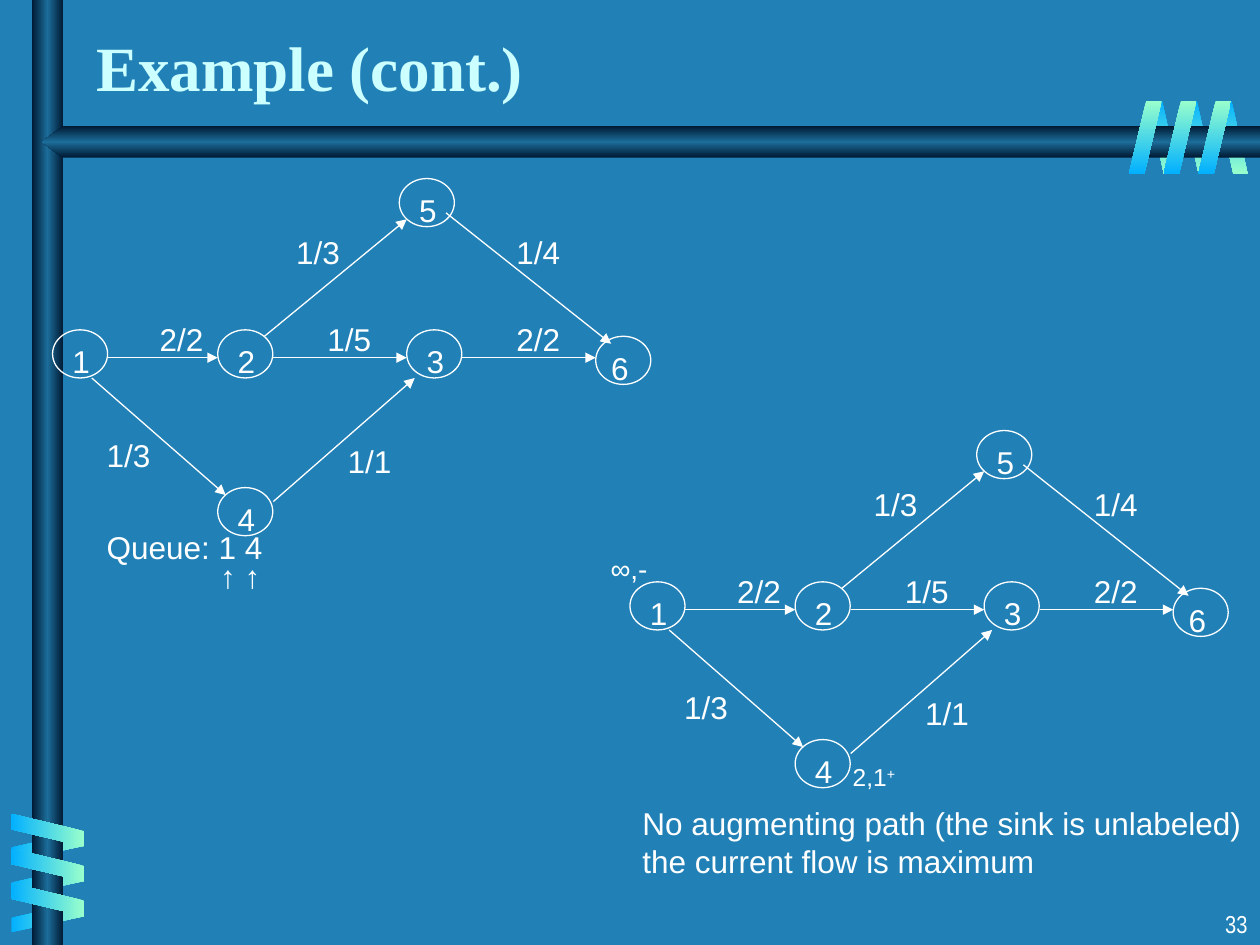
from dataclasses import dataclass

from lxml import etree
from pptx import Presentation
from pptx.dml.color import RGBColor
from pptx.enum.shapes import MSO_CONNECTOR, MSO_SHAPE
from pptx.enum.text import MSO_AUTO_SIZE, PP_ALIGN
from pptx.oxml import parse_xml
from pptx.oxml.ns import nsdecls, qn
from pptx.util import Cm, Pt

OVAL, RECT, SLANT = MSO_SHAPE.OVAL, MSO_SHAPE.RECTANGLE, MSO_SHAPE.PARALLELOGRAM
STRAIGHT = MSO_CONNECTOR.STRAIGHT
GROW, FIXED = MSO_AUTO_SIZE.SHAPE_TO_FIT_TEXT, MSO_AUTO_SIZE.NONE
LEFT, RIGHT = PP_ALIGN.LEFT, PP_ALIGN.RIGHT


@dataclass(frozen=True)
class Theme:
    back: str = "2181B7"
    ink: str = "FFFFFF"
    title: str = "CCFFFF"
    ribbon: tuple = ("99FFCC", "01B0FF")
    rail: tuple = ("001932", "1C6D9A", "001932")
    body_font: str = "Arial"
    title_font: str = "Times New Roman"
    number_font: str = "Arial Narrow"
    title_size: int = 36
    body_size: int = 18
    mark_size: int = 16
    small_size: int = 14
    line: float = 0.75


THEME = Theme()


@dataclass(frozen=True)
class Ribbons:
    """Three slanted bands, evenly stepped; lengths in cm."""
    x: float
    y: float
    dx: float
    dy: float
    w: float
    rotation: int
    angle: int
    colors: tuple
    flip: bool


@dataclass(frozen=True)
class Node:
    name: str
    x: float
    y: float
    text_dx: float = 0.15


@dataclass(frozen=True)
class Edge:
    x1: float
    y1: float
    x2: float
    y2: float
    flow: str
    flow_x: float
    flow_y: float


BACK = THEME.ribbon[::-1]
BACK_RIBBONS = [
    Ribbons(24.54, 2.03, -0.7, 0, 0.61, 180, 90, BACK, True),
    Ribbons(0.66, 16.33, 0, 0.71, 0.61, 90, 180, BACK, True),
]
FRONT_RIBBONS = [
    Ribbons(0.63, 16, 0, 0.7, 0.66, 270, 180, THEME.ribbon, False),
    Ribbons(24.16, 2.03, -0.7, 0, 0.66, 0, 90, THEME.ribbon, False),
]
NODES = [
    Node("1", 1.06, 6.65), Node("2", 4.39, 6.65), Node("3", 8.2, 6.65),
    Node("4", 4.39, 9.83), Node("5", 8.05, 3.6), Node("6", 12.01, 6.78, 0.06),
]
EDGES = [
    Edge(1.85, 7.62, 4.55, 9.98, "1/3", 1.9, 8.66),
    Edge(2.16, 7.21, 4.39, 7.21, "2/2", 2.97, 6.32),
    Edge(5.33, 6.78, 8.2, 4.42, "1/3", 5.72, 4.57),
    Edge(5.51, 7.21, 8.2, 7.21, "1/5", 6.35, 6.32),
    Edge(5.51, 10.11, 8.36, 7.62, "1/1", 6.76, 8.79),
    Edge(9.32, 7.21, 12.01, 7.21, "2/2", 10.16, 6.32),
    Edge(8.99, 4.29, 12.32, 6.93, "1/4", 10.16, 4.57),
]
GRAPH_ORIGINS = [(0, 0), (11.64, 5.08)]


def cms(*values: float) -> list:
    return [Cm(v) for v in values]


def fill_gradient(sp, colors: tuple, angle: int) -> None:
    """Linear gradient that stays fixed when the shape turns."""
    stops = "".join(
        f'<a:gs pos="{i * 100000 // (len(colors) - 1)}"><a:srgbClr val="{c}"/></a:gs>'
        for i, c in enumerate(colors))
    sp.fill.background()
    spPr = sp._element.spPr
    spPr.replace(spPr.find(qn("a:noFill")), parse_xml(
        f'<a:gradFill {nsdecls("a")} rotWithShape="0"><a:gsLst>{stops}</a:gsLst>'
        f'<a:lin ang="{angle * 60000}" scaled="0"/></a:gradFill>'))
    sp.line.fill.background()
    sp.shadow.inherit = False


def draw_ribbons(s, row: Ribbons) -> None:
    for i in range(3):
        sp = s.shapes.add_shape(
            SLANT, *cms(row.x + i * row.dx, row.y + i * row.dy, row.w, 1.47))
        sp.adjustments[0] = 0.53
        sp.rotation = row.rotation
        if row.flip:
            sp._element.spPr.find(qn("a:xfrm")).set("flipH", "1")
        fill_gradient(sp, row.colors, row.angle)


def draw_rails(s) -> None:
    fill_gradient(s.shapes.add_shape(RECT, *cms(0.64, 0, 0.64, 19.05)), THEME.rail, 180)
    fb = s.shapes.build_freeform(*cms(25.4, 2.54))
    fb.add_line_segments([cms(*pt) for pt in
                          [(1.27, 2.54), (0.84, 2.86), (1.27, 3.18), (25.4, 3.18)]])
    fill_gradient(fb.convert_to_shape(), THEME.rail, 90)


def add_run(p, text: str, size: int, font: str = THEME.body_font,
            color: str = THEME.ink, bold: bool = False):
    r = p.add_run()
    r.text = text
    r.font.size, r.font.name, r.font.bold = Pt(size), font, bold
    r.font.color.rgb = RGBColor.from_string(color)
    return r


def add_box(s, x: float, y: float, w: float, h: float, wrap: bool = True,
            auto_size=GROW, align=LEFT):
    tf = s.shapes.add_textbox(*cms(x, y, w, h)).text_frame
    tf.word_wrap, tf.auto_size = wrap, auto_size
    tf.paragraphs[0].alignment = align
    return tf


def add_label(s, text: str, x: float, y: float, w: float) -> None:
    add_run(add_box(s, x, y, w, 1.02, wrap=False).paragraphs[0], text, THEME.body_size)


def draw_line_style(line) -> None:
    line.color.rgb = RGBColor.from_string(THEME.ink)
    line.width = Pt(THEME.line)


def draw_graph(s, ox: float, oy: float) -> None:
    for n in NODES:
        sp = s.shapes.add_shape(OVAL, *cms(ox + n.x, oy + n.y, 1.11, 0.97))
        sp.fill.background()
        sp.shadow.inherit = False
        draw_line_style(sp.line)
    for e in EDGES:
        c = s.shapes.add_connector(
            STRAIGHT, *cms(ox + e.x1, oy + e.y1, ox + e.x2, oy + e.y2))
        draw_line_style(c.line)
        etree.SubElement(c.line._get_or_add_ln(), qn("a:tailEnd"), type="triangle")
        etree.SubElement(c._element.spPr, qn("a:effectLst"))
    for n in NODES:
        add_label(s, n.name, ox + n.x + n.text_dx, oy + n.y + 0.13, 0.86)
    for e in EDGES:
        add_label(s, e.flow, ox + e.flow_x, oy + e.flow_y, 1.4)


def draw_notes(s) -> None:
    # Labels of the source and of node 4
    add_run(add_box(s, 12.06, 11, 1.27, 0.94).paragraphs[0], "∞,-", THEME.mark_size)
    p = add_box(s, 16.94, 15.24, 1.47, 0.86).paragraphs[0]
    add_run(p, "2,1", THEME.small_size)
    add_run(p, "+", THEME.small_size)._r.get_or_add_rPr().set("baseline", "30000")

    # Conclusion
    add_run(add_box(s, 12.7, 16.08, 12.7, 1.78).paragraphs[0],
            "No augmenting path (the sink is unlabeled) the current flow is maximum",
            THEME.body_size)

    # Queue with arrows under its entries
    tf = add_box(s, 1.9, 11, 6.15, 1.04)
    queue, arrows = tf.paragraphs[0], tf.add_paragraph()
    arrows.space_before = Pt(11.2)
    arrows._p.get_or_add_pPr().set("marL", str(Cm(2.29)))
    for p, text in ((queue, "Queue: 1 4"), (arrows, "↑ ↑")):
        p.line_spacing = 0.25
        add_run(p, text, THEME.body_size)


def main() -> None:
    prs = Presentation()
    prs.slide_width, prs.slide_height = cms(25.4, 19.05)
    s = prs.slides.add_slide(prs.slide_layouts[6])
    s.background.fill.solid()
    s.background.fill.fore_color.rgb = RGBColor.from_string(THEME.back)

    # Frame: ribbons wind around the rails
    for row in BACK_RIBBONS:
        draw_ribbons(s, row)
    draw_rails(s)
    for row in FRONT_RIBBONS:
        draw_ribbons(s, row)

    # Flow networks
    for origin in GRAPH_ORIGINS:
        draw_graph(s, *origin)
    draw_notes(s)

    # Title and slide number
    add_run(add_box(s, 1.69, 0.45, 12.5, 1.78).paragraphs[0], "Example (cont.)",
            THEME.title_size, THEME.title_font, THEME.title, True)
    add_run(add_box(s, 20.11, 18.21, 5.29, 0.84, auto_size=FIXED, align=RIGHT).paragraphs[0],
            "33", THEME.small_size, THEME.number_font)
    prs.save("out.pptx")


if __name__ == "__main__":
    main()
